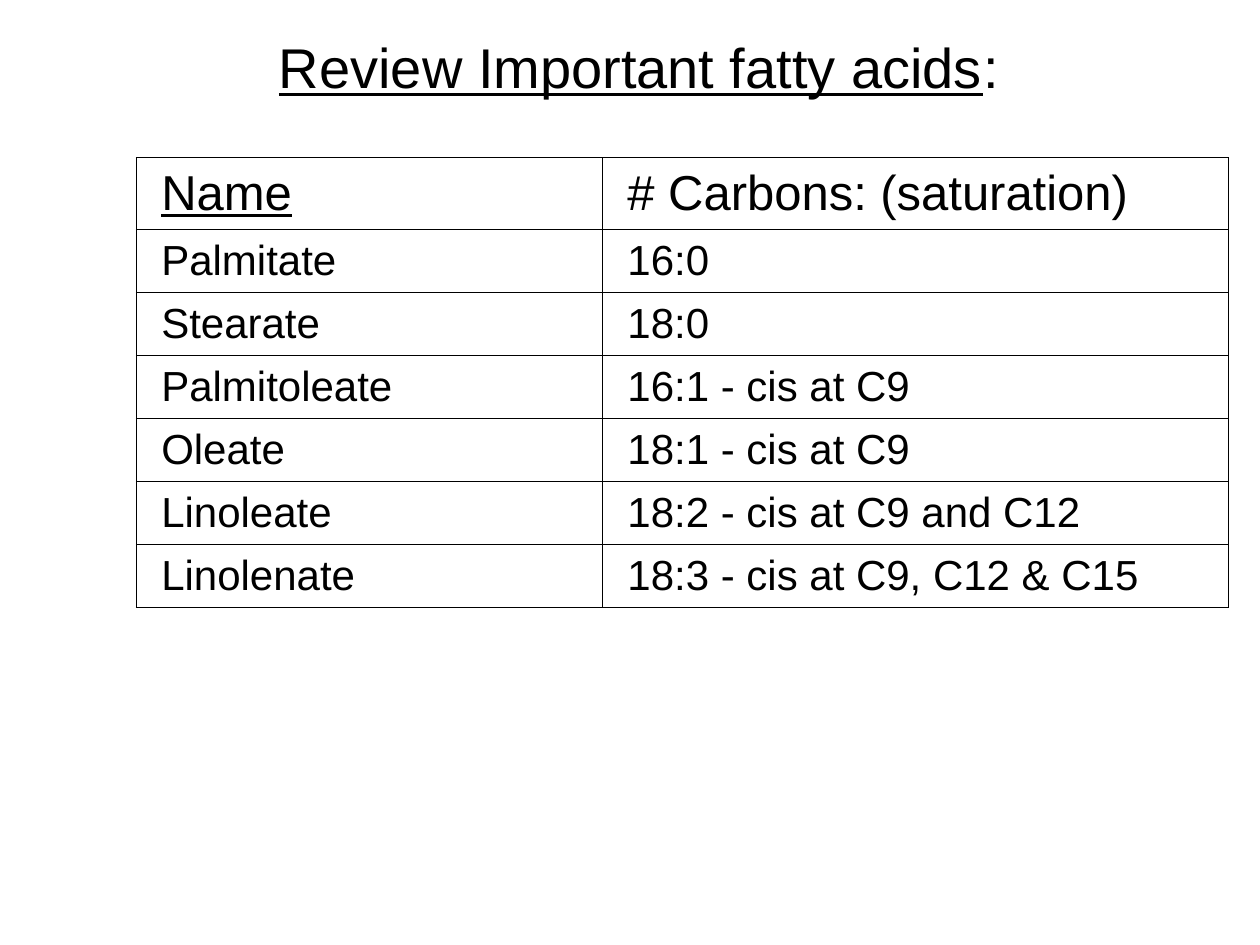
from lxml.etree import SubElement as Sub
from pptx import Presentation
from pptx.dml.color import RGBColor as RGB
from pptx.enum.text import MSO_ANCHOR as Anchor, MSO_AUTO_SIZE as Auto, PP_ALIGN as Align
from pptx.oxml.ns import qn
from pptx.util import Inches, Pt

WIDE, HIGH = 10, 7.5
COLORS = {"ink": "000000"}

HEAD = [[("Name", True)], [("# Carbons: (saturation)", False)]]
ACIDS = [
    ("Palmitate", "16:0"),
    ("Stearate", "18:0"),
    ("Palmitoleate", "16:1 - cis at C9"),
    ("Oleate", "18:1 - cis at C9"),
    ("Linoleate", "18:2 - cis at C9 and C12"),
    ("Linolenate", "18:3 - cis at C9, C12 & C15"),
]


def write(frame, runs, size=24, align=Align.LEFT, font="Arial", color="ink"):
    """Fill a text frame with (text, underlined) runs."""
    para = frame.paragraphs[0]
    para.alignment = align
    for text, under in runs:
        run = para.add_run()
        run.text = text
        run.font.name = font
        run.font.size = Pt(size)
        run.font.underline = under
        run.font.color.rgb = RGB.from_string(COLORS[color])


class Deck:
    """Holds the style and the current slide; places are shares of its size."""

    line = 0.34   # border width, points
    pad = 0.2     # left cell margin, inches

    def __init__(self):
        self.show = Presentation()
        self.show.slide_width = Inches(WIDE)
        self.show.slide_height = Inches(HIGH)
        self.slide = self.show.slides.add_slide(self.show.slide_layouts[6])

    def place(self, left, top, width, height):
        return (Inches(left * WIDE), Inches(top * HIGH),
                Inches(width * WIDE), Inches(height * HIGH))

    def title(self, runs, *box):
        frame = self.slide.shapes.add_textbox(*self.place(*box)).text_frame
        frame.word_wrap = True
        frame.auto_size = Auto.SHAPE_TO_FIT_TEXT
        write(frame, runs, size=32, align=Align.CENTER)

    def border(self, cell):
        props = cell._tc.get_or_add_tcPr()
        for side in "LRTB":
            edge = Sub(props, qn(f"a:ln{side}"), w=str(Pt(self.line)))
            fill = Sub(edge, qn("a:solidFill"))
            Sub(fill, qn("a:srgbClr"), val=COLORS["ink"])

    def table(self, rows, cols, highs, sizes, left, top):
        box = self.place(left, top, sum(cols), sum(highs))
        grid = self.slide.shapes.add_table(len(rows), len(cols), *box).table
        grid.first_row = grid.horz_banding = False
        for col, share in zip(grid.columns, cols):
            col.width = Inches(share * WIDE)
        for row, share, size, texts in zip(grid.rows, highs, sizes, rows):
            row.height = Inches(share * HIGH)
            for cell, runs in zip(row.cells, texts):
                self.border(cell)
                cell.fill.background()
                cell.vertical_anchor = Anchor.MIDDLE
                cell.margin_left = Inches(self.pad)
                write(cell.text_frame, runs, size=size)


def main():
    deck = Deck()

    # Table of fatty acids: a taller heading row, then equal rows
    body = [[[(text, False)] for text in acid] for acid in ACIDS]
    count = len(ACIDS)
    deck.table([HEAD] + body, cols=[0.37, 0.497],
               highs=[0.57 / HIGH] + [0.5 / HIGH] * count,
               sizes=[28] + [24] * count, left=0.108, top=1.25 / HIGH)

    # Title
    deck.title([("Review Important fatty acids", True), (":", False)],
               0.123, 0.21 / HIGH, 0.768, 0.64 / HIGH)

    deck.show.save("out.pptx")


if __name__ == "__main__":
    main()
